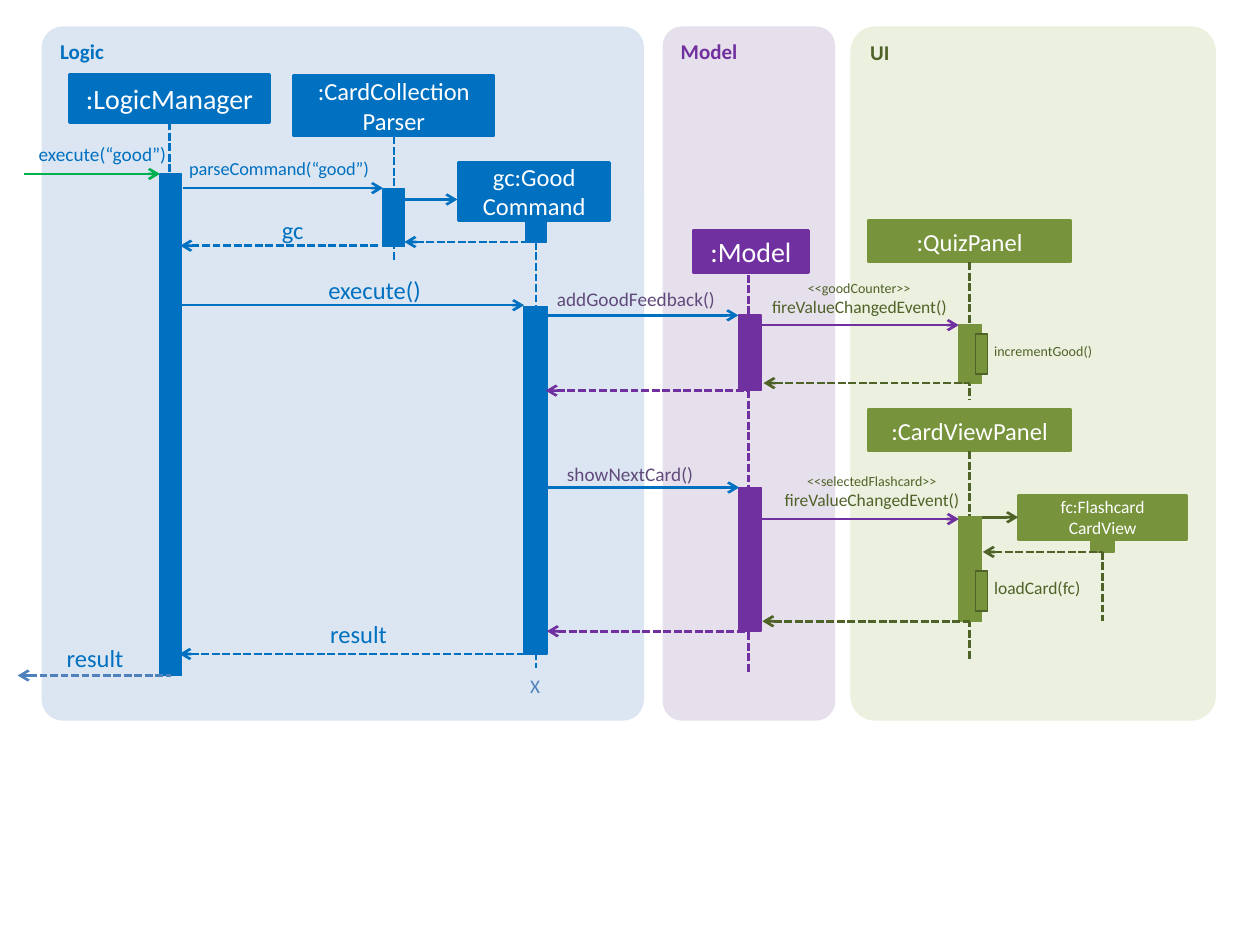
from lxml import etree
from pptx import Presentation
from pptx.dml.color import RGBColor
from pptx.enum.dml import MSO_LINE
from pptx.enum.shapes import MSO_CONNECTOR, MSO_SHAPE
from pptx.enum.text import MSO_ANCHOR, MSO_AUTO_SIZE, PP_ALIGN
from pptx.oxml.ns import qn
from pptx.util import Pt

RECT, ROUND = MSO_SHAPE.RECTANGLE, MSO_SHAPE.ROUNDED_RECTANGLE
STRAIGHT, DASH = MSO_CONNECTOR.STRAIGHT, MSO_LINE.SQUARE_DOT
TOP, MIDDLE = MSO_ANCHOR.TOP, MSO_ANCHOR.MIDDLE
LEFT, CENTER, RIGHT = PP_ALIGN.LEFT, PP_ALIGN.CENTER, PP_ALIGN.RIGHT
GROW = MSO_AUTO_SIZE.SHAPE_TO_FIT_TEXT
LEFT_SIDE, BOTTOM_SIDE = 1, 2

COLORS = {
    "logic": "0070C0", "logic_panel": "DCE6F2", "caller": "4F81BD",
    "model": "7030A0", "model_panel": "E6E0EC", "model_text": "604A7B",
    "ui": "77933C", "ui_panel": "EBF1DE", "ui_dark": "4F6228",
    "green": "00B050", "white": "FFFFFF",
}


class SequenceDiagram:
    font = "Calibri"
    line_width = 1.5

    def __init__(self, slide):
        self.shapes = slide.shapes

    def color(self, name):
        return RGBColor.from_string(COLORS[name])

    def set_text(self, tf, text, sizes, color, align=LEFT, bold=False):
        tf.text = text
        for i, p in enumerate(tf.paragraphs):
            p.alignment = align
            for r in p.runs:
                style = {"name": self.font, "size": Pt(sizes[min(i, len(sizes) - 1)]), "bold": bold}
                for key, value in style.items():
                    setattr(r.font, key, value)
                r.font.color.rgb = self.color(color)

    def box(self, kind, x, y, w, h, fill, line=None, width=0.75):
        s = self.shapes.add_shape(kind, Pt(x), Pt(y), Pt(w), Pt(h))
        s.shadow.inherit = False
        s.fill.solid()
        s.fill.fore_color.rgb = self.color(fill)
        if line:
            s.line.color.rgb = self.color(line)
            s.line.width = Pt(width)
        else:
            s.line.fill.background()
        return s

    def panel(self, x, w, radius, text, fill, color):
        s = self.box(ROUND, x, 15.1, w, 396.7, fill)
        s.adjustments[0] = radius / w
        s.text_frame.vertical_anchor = TOP
        self.set_text(s.text_frame, text, [12], color, bold=True)

    def participant(self, x, y, w, h, text, size, color):
        s = self.box(RECT, x, y, w, h, color, color, self.line_width)
        s.text_frame.vertical_anchor = MIDDLE
        self.set_text(s.text_frame, text, [size], "white", CENTER)
        return s

    def activation(self, x, y, w, h, color, line=None):
        return self.box(RECT, x, y, w, h, color, line or color)

    def label(self, x, y, w, h, text, sizes, color, align=LEFT):
        s = self.shapes.add_textbox(Pt(x), Pt(y), Pt(w), Pt(h))
        tf = s.text_frame
        tf.word_wrap, tf.auto_size = True, GROW
        for side in ("left", "right", "top", "bottom"):
            setattr(tf, f"margin_{side}", 0)
        self.set_text(tf, text, sizes, color, align)

    def end_mark(self, x, y, w, h, text, size, color):
        s = self.shapes.add_textbox(Pt(x), Pt(y), Pt(w), Pt(h))
        s.text_frame.word_wrap, s.text_frame.auto_size = False, GROW
        self.set_text(s.text_frame, text, [size], color)

    def connect(self, x1, y1, x2, y2, color, dashed=False, arrow=None):
        c = self.shapes.add_connector(STRAIGHT, x1, y1, x2, y2)
        c.line.color.rgb = self.color(color)
        c.line.width = Pt(self.line_width)
        if dashed:
            c.line.dash_style = DASH
        properties = c._element.spPr
        if arrow:
            end = etree.SubElement(properties.find(qn("a:ln")), qn(f"a:{arrow}"))
            end.set("type", "arrow")
        etree.SubElement(properties, qn("a:effectLst"))
        return c

    def lifeline(self, owner, bottom, color):
        x, y = owner.left + owner.width // 2, owner.top + owner.height
        self.connect(x, y, x, Pt(bottom), color, True).begin_connect(owner, BOTTOM_SIDE)

    def message(self, x1, x2, y, color, target=None):
        c = self.connect(Pt(x1), Pt(y), Pt(x2), Pt(y), color, arrow="tailEnd")
        if target is not None:
            c.end_connect(target, LEFT_SIDE)

    def reply(self, bar, x, color):
        y = bar.top + bar.height
        c = self.connect(Pt(x), y, bar.left + bar.width // 2, y, color, True, "headEnd")
        c.end_connect(bar, BOTTOM_SIDE)


def main():
    prs = Presentation()
    prs.slide_width, prs.slide_height = Pt(720), Pt(540)
    d = SequenceDiagram(prs.slides.add_slide(prs.slide_layouts[6]))

    d.panel(378.7, 98.6, 11, "Model", "model_panel", "model")
    d.panel(23.8, 344.2, 12, "Logic", "logic_panel", "logic")
    d.panel(486, 208.8, 14.2, "UI", "ui_panel", "ui_dark")

    manager = d.participant(39.6, 42.5, 114.5, 27.4, ":LogicManager", 16, "logic")
    parser = d.participant(167.8, 43.2, 114.5, 34.6, ":CardCollection\nParser", 14, "logic")
    d.participant(262.1, 92.9, 86.4, 33.1, "gc:Good\vCommand", 14, "logic")
    d.participant(396, 131.8, 66.2, 23.8, ":Model", 16, "model")
    quiz = d.participant(496.1, 126, 115.9, 23.8, ":QuizPanel", 14, "ui")
    viewer = d.participant(496.1, 234, 115.9, 23.8, ":CardViewPanel", 14, "ui")
    flashcard = d.participant(581.8, 283, 96.5, 25.2, "fc:Flashcard\nCardView", 10, "ui")

    command_new = d.activation(300.2, 125.3, 12.2, 13, "logic")
    flashcard_new = d.activation(623.5, 308.9, 13, 6.5, "ui")

    for owner, bottom, color in (
        (manager, 345.6, "logic"), (parser, 149.8, "logic"), (command_new, 381.6, "logic"),
        (quiz, 228.2, "ui_dark"), (viewer, 376.6, "ui_dark"), (flashcard_new, 355, "ui_dark"),
    ):
        d.lifeline(owner, bottom, color)
    d.connect(Pt(427.9), Pt(157), Pt(427.9), Pt(383.8), "model", True)

    manager_run = d.activation(91.4, 99.4, 12.2, 286.6, "logic")
    d.activation(218.9, 108, 12.2, 33.1, "logic")
    command_run = d.activation(299.5, 175, 13, 198.7, "logic")
    feedback_run = d.activation(421.9, 180, 13, 43.2, "model")
    next_run = d.activation(421.9, 278.6, 13, 82.1, "model")
    quiz_run = d.activation(547.9, 185.8, 13, 33.1, "ui")
    viewer_run = d.activation(547.9, 295.2, 13, 59.8, "ui")
    for y in (190.8, 326.2):
        d.activation(557.3, y, 7.2, 23, "ui", "ui_dark")

    for x1, x2, y, color in (
        (13.7, 91.4, 99.4, "green"), (104.4, 218.9, 107.5, "logic"),
        (231.1, 261.4, 114, "logic"), (103.2, 299.5, 174.4, "logic"),
        (312.5, 421.9, 180.2, "logic"), (312, 422.4, 278.6, "logic"),
        (435.4, 547.9, 185.8, "model"), (435.4, 547.9, 296.6, "model"),
    ):
        d.message(x1, x2, y, color)
    d.message(560.9, 581.8, 295.6, "ui_dark", flashcard)

    for bar, x, color in (
        (command_new, 231.1, "logic"), (command_run, 102.5, "logic"),
        (manager_run, 10.1, "caller"), (feedback_run, 311.8, "model"),
        (next_run, 312.5, "model"), (quiz_run, 436.3, "ui_dark"),
        (viewer_run, 435.6, "ui_dark"), (flashcard_new, 561.6, "ui_dark"),
    ):
        d.reply(bar, x, color)
    d.connect(Pt(103), Pt(140.4), Pt(216), Pt(140.4), "logic", True, "headEnd")

    for x, y, w, h, text, sizes, color, align in (
        (12.2, 81.4, 82.8, 13.7, "execute(“good”)", [11], "logic", RIGHT),
        (108, 90, 123.1, 13, "parseCommand(“good”)", [10.5], "logic", LEFT),
        (156.2, 123.1, 17.3, 17.3, "gc", [14], "logic", RIGHT),
        (172.8, 157, 67.7, 17.3, "execute()", [14], "logic", RIGHT),
        (172.1, 353.5, 49, 17.3, "result", [14], "logic", RIGHT),
        (10.8, 367.2, 59.8, 17.3, "result", [14], "logic", RIGHT),
        (318.2, 164.2, 107.3, 13.7, "addGoodFeedback()", [11], "model_text", LEFT),
        (324, 264.2, 82.1, 13.7, "showNextCard()", [11], "model_text", LEFT),
        (431.3, 159.8, 119.5, 21.6, "<<goodCounter>>\nfireValueChangedEvent()", [8, 10], "ui_dark", CENTER),
        (438.5, 270, 119.5, 21.6, "<<selectedFlashcard>>\nfireValueChangedEvent()", [8, 10], "ui_dark", CENTER),
        (568.1, 195.8, 68.4, 9.4, "incrementGood()", [8], "ui_dark", LEFT),
        (568.1, 329.8, 68.4, 12.2, "loadCard(fc)", [10], "ui_dark", LEFT),
    ):
        d.label(x, y, w, h, text, sizes, color, align)
    d.end_mark(295.9, 381.6, 20.2, 20.9, "X", 11, "caller")

    prs.save("out.pptx")


if __name__ == "__main__":
    main()
